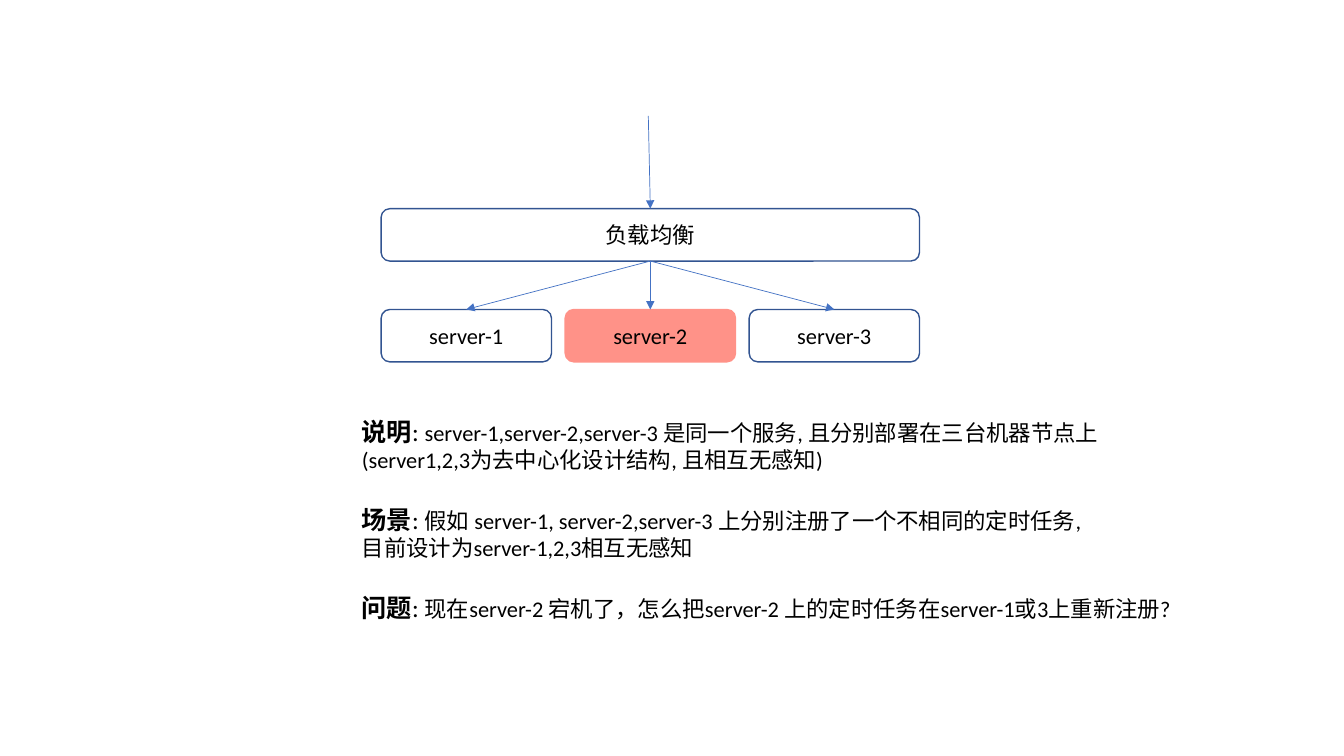
from lxml import etree
from pptx import Presentation
from pptx.dml.color import RGBColor
from pptx.enum.shapes import MSO_CONNECTOR, MSO_SHAPE
from pptx.enum.text import MSO_ANCHOR, PP_ALIGN
from pptx.oxml.ns import qn
from pptx.util import Inches, Pt

STRAIGHT = MSO_CONNECTOR.STRAIGHT
ROUNDED = MSO_SHAPE.ROUNDED_RECTANGLE
MIDDLE, CENTER = MSO_ANCHOR.MIDDLE, PP_ALIGN.CENTER
TOP_SITE, BOTTOM_SITE = 0, 2

FONT = "Calibri"
COLORS = {name: RGBColor.from_string(value) for name, value in {
    "box": "FFFFFF", "outline": "325491", "failed": "FF9288",
    "arrow": "4472C4", "text": "000000"}.items()}

# Diagram grid: three server columns under one full-width balancer
LEFT, COLUMN_WIDTH, COLUMN_STEP = 3.78, 1.69, 1.825
BALANCER_TOP, SERVER_TOP, ROW_HEIGHT = 2.07, 3.07, 0.52
SERVERS = ["server-1", "server-2", "server-3"]
FAILED_SERVER = "server-2"
DIAGRAM_WIDTH = COLUMN_STEP * (len(SERVERS) - 1) + COLUMN_WIDTH

# Each section: bold label, first line, following lines
SECTIONS = [
    ("说明", "server-1,server-2,server-3 是同一个服务, 且分别部署在三台机器节点上",
     ["(server1,2,3为去中心化设计结构, 且相互无感知)"]),
    ("场景", "假如 server-1, server-2,server-3 上分别注册了一个不相同的定时任务, ",
     ["目前设计为server-1,2,3相互无感知"]),
    ("问题", "现在server-2 宕机了，怎么把server-2 上的定时任务在server-1或3上重新注册?", []),
]

presentation = Presentation()
presentation.slide_width, presentation.slide_height = Inches(13.33), Inches(7.5)
slide = presentation.slides.add_slide(presentation.slide_layouts[6])


def add_box(label, left, top, width, fill="box", outline="outline"):
    """Add a rounded box with a centred label."""
    box = slide.shapes.add_shape(
        ROUNDED, Inches(left), Inches(top), Inches(width), Inches(ROW_HEIGHT))
    box.shadow.inherit = False
    box.fill.solid()
    box.fill.fore_color.rgb = COLORS[fill]
    box.line.color.rgb = COLORS[outline]
    box.line.width = Pt(1)
    box.text_frame.vertical_anchor = MIDDLE
    paragraph = box.text_frame.paragraphs[0]
    paragraph.text = label
    paragraph.alignment = CENTER
    paragraph.font.name, paragraph.font.size = FONT, Pt(16)
    paragraph.font.color.rgb = COLORS["text"]
    return box


def add_arrow(target, source=None, start=(0, 0)):
    """Add an arrow to the top of target, from source's bottom or a start point."""
    x, y = (Inches(value) for value in start)
    arrow = slide.shapes.add_connector(STRAIGHT, x, y, x, y)
    if source is not None:
        arrow.begin_connect(source, BOTTOM_SITE)
    arrow.end_connect(target, TOP_SITE)
    arrow.line.color.rgb = COLORS["arrow"]
    arrow.line.width = Pt(0.5)
    etree.SubElement(arrow.line._get_or_add_ln(), qn("a:tailEnd"), type="triangle")
    etree.SubElement(arrow._element.spPr, qn("a:effectLst"))


server_boxes = []
for column, server in enumerate(SERVERS):
    style = ("failed", "failed") if server == FAILED_SERVER else ("box", "outline")
    server_boxes.append(add_box(
        server, LEFT + column * COLUMN_STEP, SERVER_TOP, COLUMN_WIDTH, *style))

balancer = add_box("负载均衡", LEFT, BALANCER_TOP, DIAGRAM_WIDTH)
add_arrow(balancer, start=(6.43, 1.15))
for server_box in server_boxes:
    add_arrow(server_box, source=balancer)

explanation = slide.shapes.add_textbox(
    Inches(3.49), Inches(4.08), Inches(8.33), Inches(2.15)).text_frame
explanation.word_wrap = True
for number, (label, first_line, more_lines) in enumerate(SECTIONS):
    paragraph = explanation.paragraphs[0] if number == 0 else explanation.add_paragraph()
    if number:
        paragraph.space_before = Pt(22)
    for text, size, bold in [(label, 18, True), (": ", 18, False), (first_line, 16, False)]:
        run = paragraph.add_run()
        run.text = text
        run.font.size, run.font.bold = Pt(size), bold
    for line in more_lines:
        paragraph = explanation.add_paragraph()
        paragraph.text = line
        paragraph.font.size = Pt(16)
for paragraph in explanation.paragraphs:
    paragraph.font.name = FONT
    paragraph.font.color.rgb = COLORS["text"]

presentation.save("out.pptx")
